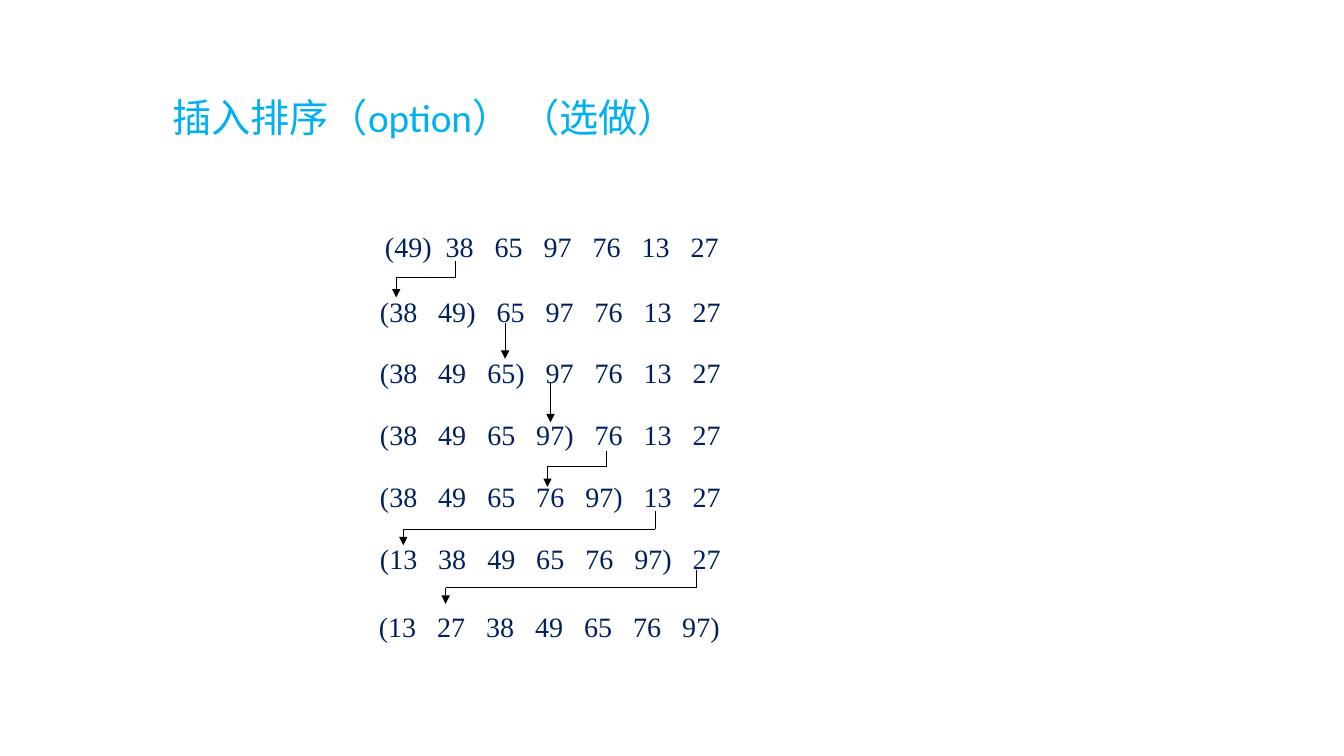
import pptx
import pptx.util
import pptx.dml.color
import pptx.enum.shapes
import pptx.enum.text
import pptx.oxml.ns
import lxml.etree

Inches = pptx.util.Inches
Pt = pptx.util.Pt
RGBColor = pptx.dml.color.RGBColor
qn = pptx.oxml.ns.qn

SKY = RGBColor(0x00, 0xB0, 0xF0)
NAVY = RGBColor(0x00, 0x20, 0x60)
BLACK = RGBColor(0x00, 0x00, 0x00)

PAREN = 0.0925
PITCH = 0.486
SPACE = 0.07

ROWS = [
    (0.05, 0, 1, "49 38 65 97 76 13 27"),
    (0, 0.64, 2, "38 49 65 97 76 13 27"),
    (0, 1.25, 3, "38 49 65 97 76 13 27"),
    (0, 1.86, 4, "38 49 65 97 76 13 27"),
    (0, 2.48, 5, "38 49 65 76 97 13 27"),
    (0, 3.09, 6, "13 38 49 65 76 97 27"),
    (-0.01, 3.77, 7, "13 27 38 49 65 76 97"),
]
DROPS = [(1.34, 0.97, 1.33), (1.79, 1.57, 1.96)]
HOPS = [
    (0.85, 0.36, 0.52, 0.26, 0.72),
    (2.35, 2.24, 2.40, 1.76, 2.60),
    (2.83, 2.84, 3.02, 0.33, 3.18),
    (3.24, 3.42, 3.60, 0.75, 3.76),
]


def write(slide, left, top, width, height, text, font, size, color):
    box = slide.shapes.add_textbox(
        Inches(left), Inches(top), Inches(width), Inches(height))
    frame = box.text_frame
    frame.word_wrap = True
    frame.vertical_anchor = pptx.enum.text.MSO_ANCHOR.TOP
    frame.text = text
    para = frame.paragraphs[0]
    for run in para.runs:
        run.font.name = font
        run.font.size = Pt(size)
        run.font.color.rgb = color
    return para


def title(slide, left, top, width, height):
    para = write(slide, left, top, width, height,
                 "插入排序（option） （选做）", "Calibri", 28, SKY)
    para.line_spacing = 0.9


def row(slide, left, top, width, height, count, line):
    nums = line.split()
    nums[0] = "(" + nums[0]
    nums[count - 1] += ")"
    para = write(slide, left, top, width, height,
                 "\t".join(nums), "Times New Roman", 20, NAVY)
    props = para._p.get_or_add_pPr()
    tabs = lxml.etree.SubElement(props, qn("a:tabLst"))
    for i in range(1, len(nums)):
        stop = PAREN + i * PITCH
        if i >= count:
            stop += PAREN
        if count == 1:
            stop -= SPACE
        lxml.etree.SubElement(tabs, qn("a:tab"),
                              pos=str(Inches(stop)), algn="l")


def stroke(shapes, start, end, arrow=False):
    line = shapes.add_connector(
        pptx.enum.shapes.MSO_CONNECTOR.STRAIGHT,
        *(Inches(n) for n in start + end))
    line.line.color.rgb = BLACK
    line.line.width = Pt(0.75)
    if arrow:
        lxml.etree.SubElement(line.line._get_or_add_ln(),
                              qn("a:tailEnd"), type="triangle")
    lxml.etree.SubElement(line._element.spPr, qn("a:effectLst"))


def hop(slide, left, top, x, y, turn, goal, tip):
    group = slide.shapes.add_group_shape()
    points = [(left + a, top + b) for a, b in
              [(x, y), (x, turn), (goal, turn), (goal, tip)]]
    for i in range(3):
        stroke(group.shapes, points[i], points[i + 1], i == 2)


def sort(slide, left, top, width, height):
    for x, y, count, line in ROWS:
        row(slide, left + x, top + y, width, height, count, line)
    for x, y, tip in DROPS:
        stroke(slide.shapes, (left + x, top + y), (left + x, top + tip), True)
    for marks in HOPS:
        hop(slide, left, top, *marks)


def main():
    deck = pptx.Presentation()
    deck.slide_width = Inches(13.33)
    deck.slide_height = Inches(7.5)
    slide = deck.slides.add_slide(deck.slide_layouts[6])
    title(slide, 1.61, 0.93, 8.79, 0.7)
    sort(slide, 3.67, 2.23, 3.63, 0.44)
    deck.save("out.pptx")


if __name__ == "__main__":
    main()
